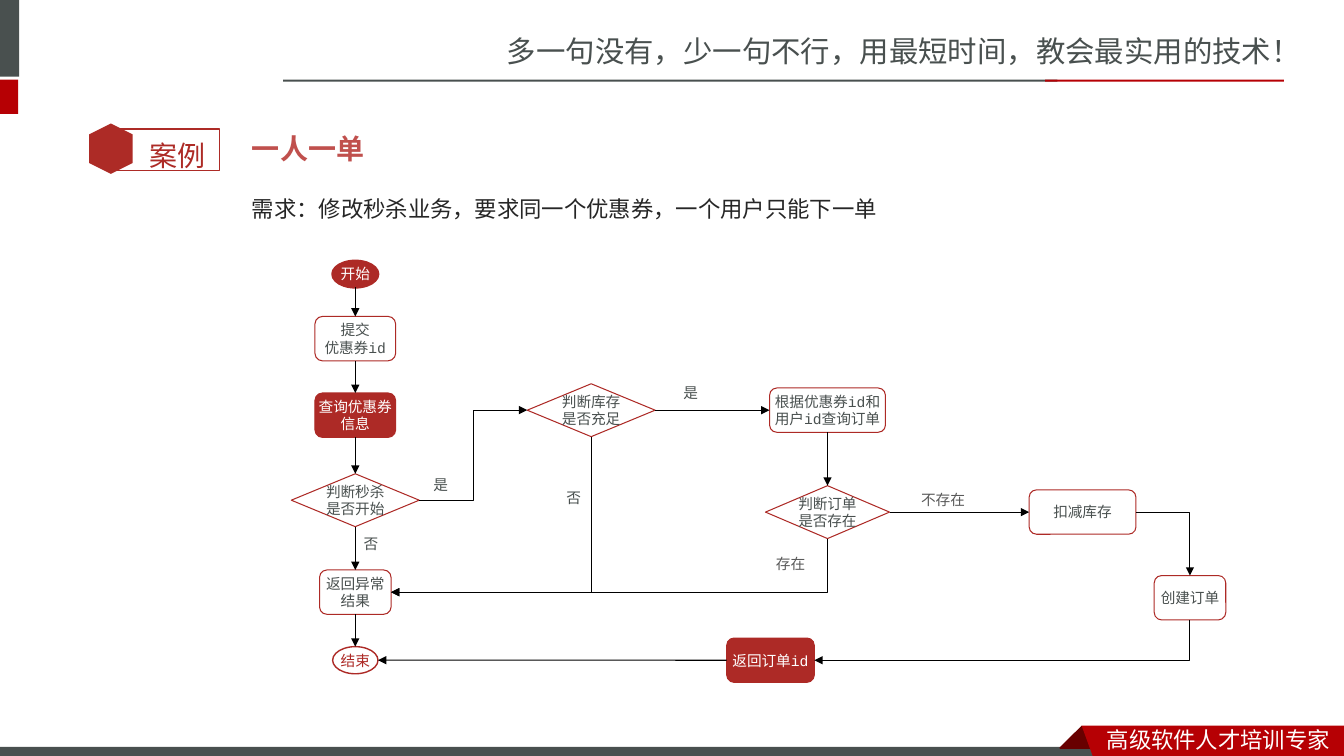
from lxml import etree
from pptx import Presentation
from pptx.dml.color import RGBColor
from pptx.enum.shapes import MSO_CONNECTOR, MSO_SHAPE
from pptx.enum.text import MSO_ANCHOR, MSO_AUTO_SIZE, PP_ALIGN
from pptx.oxml.ns import qn
from pptx.util import Pt

RECT = MSO_SHAPE.RECTANGLE
ROUND = MSO_SHAPE.ROUNDED_RECTANGLE
DIAMOND = MSO_SHAPE.DIAMOND
OVAL = MSO_SHAPE.OVAL
HEXAGON = MSO_SHAPE.HEXAGON
STRAIGHT = MSO_CONNECTOR.STRAIGHT
ELBOW = MSO_CONNECTOR.ELBOW

COLORS = {
    "white": "FFFFFF", "black": "000000", "slate": "49504F", "red": "B60004",
    "maroon": "680000", "brick": "AD2B26", "flow": "AD2A26", "title": "C0504D",
    "ink": "262626", "gray": "595959",
}
SANS = "Noto Sans CJK SC"
BODY = "Noto Sans CJK JP"
MONO = "Courier New"
BADGE = "Roboto"

SPINE, ORDER_X = 253.8, 591.1
NODE_H, DIAMOND_H = 31.7, 37.8

NODES = {
    "start": (OVAL, SPINE, 195.8, 32.4, 18.7, ["开始"], "flow", "white", 2),
    "submit": (ROUND, SPINE, 241.9, 57.6, NODE_H, ["提交", "优惠券id"], "white", "slate", 0.75),
    "coupon": (ROUND, SPINE, 296.6, 57.6, NODE_H, ["查询优惠券信息"], "flow", "white", 0.75),
    "begun": (DIAMOND, SPINE, 357.3, 91.4, DIAMOND_H, ["判断秒杀是否开始"], "white", "slate", 0.75),
    "error": (ROUND, SPINE, 423, 51.1, NODE_H, ["返回异常结果"], "white", "slate", 0.75),
    "end": (OVAL, SPINE, 471.6, 32.4, 19.4, ["结束"], "white", "flow", 1),
    "stock": (DIAMOND, 422.3, 293, 91.4, DIAMOND_H, ["判断库存", "是否充足"], "white", "slate", 0.75),
    "lookup": (ROUND, ORDER_X, 293, 82.8, NODE_H, ["根据优惠券id和用户id查询订单"], "white", "slate", 0.75),
    "exists": (DIAMOND, ORDER_X, 365.8, 88.6, DIAMOND_H, ["判断订单", "是否存在"], "white", "slate", 0.75),
    "deduct": (ROUND, 773.3, 365.8, 76.3, NODE_H, ["扣减库存"], "white", "slate", 0.75),
    "create": (ROUND, 850, 427, 51.1, NODE_H, ["创建订单"], "white", "slate", 0.75),
    "result": (ROUND, 550.4, 471.6, 62.6, NODE_H, ["返回订单id"], "flow", "white", 0.75),
}

ARROWS = [
    ("start", "bottom", "submit", "top", "straight"),
    ("submit", "bottom", "coupon", "top", "straight"),
    ("coupon", "bottom", "begun", "top", "straight"),
    ("begun", "bottom", "error", "top", "straight"),
    ("error", "bottom", "end", "top", "straight"),
    ("begun", "right", "stock", "left", "zigzag"),
    ("stock", "right", "lookup", "left", "straight"),
    ("stock", "bottom", "error", "right", "down_left"),
    ("lookup", "bottom", "exists", "top", "straight"),
    ("exists", "bottom", "error", "right", "down_left"),
    ("exists", "right", "deduct", "left", "straight"),
    ("deduct", "right", "create", "top", "right_down"),
    ("create", "bottom", "result", "right", "down_left"),
    ("result", "left", "end", "right", "straight"),
]

LABELS = [
    ("是", 302.4, 336.2, 25.2, "slate"),
    ("否", 252.7, 378.7, 25.2, "slate"),
    ("是", 481, 270.7, 25.2, "slate"),
    ("否", 397.4, 345.6, 25.2, "slate"),
    ("存在", 547.2, 392.4, 35.3, "gray"),
    ("不存在", 650.9, 347, 46.1, "gray"),
]

BARS = [
    (0, 0, 13.7, 54.7, "slate"),
    (0, 56.9, 13, 24.5, "red"),
    (202.3, 56.9, 553, 1.4, "slate"),
    (746.6, 56.9, 170.6, 1.4, "red"),
    (0, 533.5, 788.4, 6.5, "slate"),
]


def rgb(name):
    """Return the named colour."""
    return RGBColor.from_string(COLORS[name])


def paint(shape, fill=None, line=None, width=0.75):
    """Set the fill and outline of a shape and drop its shadow."""
    shape.shadow.inherit = False
    if fill:
        shape.fill.solid()
        shape.fill.fore_color.rgb = rgb(fill)
    else:
        shape.fill.background()
    if line:
        shape.line.color.rgb = rgb(line)
        shape.line.width = Pt(width)
    else:
        shape.line.fill.background()


def write(para, text, size, font, color, bold=False):
    """Add one formatted run to a paragraph."""
    span = para.add_run()
    span.text = text
    span.font.size = Pt(size)
    span.font.bold = bold
    span.font.color.rgb = rgb(color)
    span.font.name = font
    east = etree.SubElement(span.font._element, qn("a:ea"))
    east.set("typeface", BODY if font == BODY else SANS)


def add_preset(page, kind, left, top, width, height, fill=None, line=None, weight=0.75):
    """Add a painted preset shape."""
    shape = page.shapes.add_shape(kind, Pt(left), Pt(top), Pt(width), Pt(height))
    paint(shape, fill, line, weight)
    return shape


def add_polygon(page, points, fill):
    """Add a filled closed outline."""
    corners = [(Pt(x), Pt(y)) for x, y in points]
    builder = page.shapes.build_freeform(*corners[0], scale=1.0)
    builder.add_line_segments(corners[1:], close=True)
    paint(builder.convert_to_shape(), fill)


def add_text(page, area, text, size, font, color, wrap=True, spacing=None):
    """Add a text box with one paragraph."""
    box = page.shapes.add_textbox(*(Pt(value) for value in area))
    frame = box.text_frame
    frame.word_wrap = wrap
    frame.auto_size = MSO_AUTO_SIZE.SHAPE_TO_FIT_TEXT
    para = frame.paragraphs[0]
    para.line_spacing = spacing
    write(para, text, size, font, color)


def add_title(page, text):
    """Place and format the title placeholder."""
    title = page.shapes.title
    title.left, title.top, title.width, title.height = Pt(172.8), Pt(90), Pt(725.8), Pt(31.7)
    frame = title.text_frame
    frame.vertical_anchor = MSO_ANCHOR.MIDDLE
    frame.auto_size = MSO_AUTO_SIZE.NONE
    para = frame.paragraphs[0]
    para.alignment = PP_ALIGN.LEFT
    write(para, text, 20, BODY, "title", bold=True)


def add_node(page, kind, x, y, width, height, lines, fill, ink, weight):
    """Add a flowchart node centred on a point."""
    node = add_preset(page, kind, x - width / 2, y - height / 2, width, height, fill, "flow", weight)
    frame = node.text_frame
    frame.word_wrap = True
    frame.vertical_anchor = MSO_ANCHOR.MIDDLE
    frame.margin_left = frame.margin_right = 0
    for index, line in enumerate(lines):
        para = frame.add_paragraph() if index else frame.paragraphs[0]
        para.alignment = PP_ALIGN.CENTER
        write(para, line, 10.5, MONO, ink)
    return node


def edge(node, side):
    """Return the middle of one side of a node."""
    across = {"left": 0, "right": 2}.get(side, 1)
    down = {"top": 0, "bottom": 2}.get(side, 1)
    return node.left + node.width * across // 2, node.top + node.height * down // 2


def add_arrow(page, start, end, route):
    """Add a straight or bent arrow between two points."""
    (x1, y1), (x2, y2) = start, end
    if route == "down_left":
        mid_x, mid_y = (x1 + x2) // 2, (y1 + y2) // 2
        half_w, half_h = (y2 - y1) // 2, (x1 - x2) // 2
        x1, x2, y1, y2 = mid_x - half_w, mid_x + half_w, mid_y - half_h, mid_y + half_h
    arrow = page.shapes.add_connector(STRAIGHT if route == "straight" else ELBOW, x1, y1, x2, y2)
    arrow.line.color.rgb = rgb("black")
    arrow.line.width = Pt(0.75)
    properties = arrow._element.spPr
    if route in ("down_left", "right_down"):
        properties.find(qn("a:prstGeom")).set("prst", "bentConnector2")
    if route == "down_left":
        properties.find(qn("a:xfrm")).set("rot", "5400000")
    etree.SubElement(properties.find(qn("a:ln")), qn("a:tailEnd")).set("type", "triangle")
    etree.SubElement(properties, qn("a:effectLst"))


def add_frame(page):
    """Add the header, footer and section badge."""
    for *area, fill in BARS:
        add_preset(page, RECT, *area, fill)
    add_polygon(page, [(772.6, 518.4), (788.4, 534.2), (787.7, 535), (757.4, 535), (756.7, 534.2)], "maroon")
    add_polygon(page, [(772.6, 518.4), (960, 518.4), (960, 540), (780.5, 540)], "red")
    add_text(page, (355, 20.2, 605, 33.8), "多一句没有，少一句不行，用最短时间，教会最实用的技术！", 21, SANS, "slate")
    add_text(page, (783.4, 514.8, 176.4, 26.6), "高级软件人才培训专家", 16, SANS, "white")
    add_preset(page, RECT, 78.5, 92.2, 78.5, 29.5, line="brick", weight=1)
    add_preset(page, HEXAGON, 61.2, 90.7, 36, 31, "brick").rotation = 90
    add_text(page, (99.4, 83.5, 61.2, 40.3), "案例", 20, BADGE, "brick", spacing=1.5)


def main():
    """Build the slide and save the deck."""
    deck = Presentation()
    deck.slide_width, deck.slide_height = Pt(960), Pt(540)
    page = deck.slides.add_slide(deck.slide_layouts[5])
    add_frame(page)
    add_title(page, "一人一单")
    add_text(page, (172.8, 126, 725.8, 42), "需求：修改秒杀业务，要求同一个优惠券，一个用户只能下一单",
             16, BODY, "ink", spacing=1.5)
    nodes = {name: add_node(page, *node) for name, node in NODES.items()}
    for source, leave, target, enter, route in ARROWS:
        add_arrow(page, edge(nodes[source], leave), edge(nodes[target], enter), route)
    for text, left, top, width, color in LABELS:
        add_text(page, (left, top, width, 20.2), text, 10.5, MONO, color, wrap=False)
    deck.save("out.pptx")


if __name__ == "__main__":
    main()
